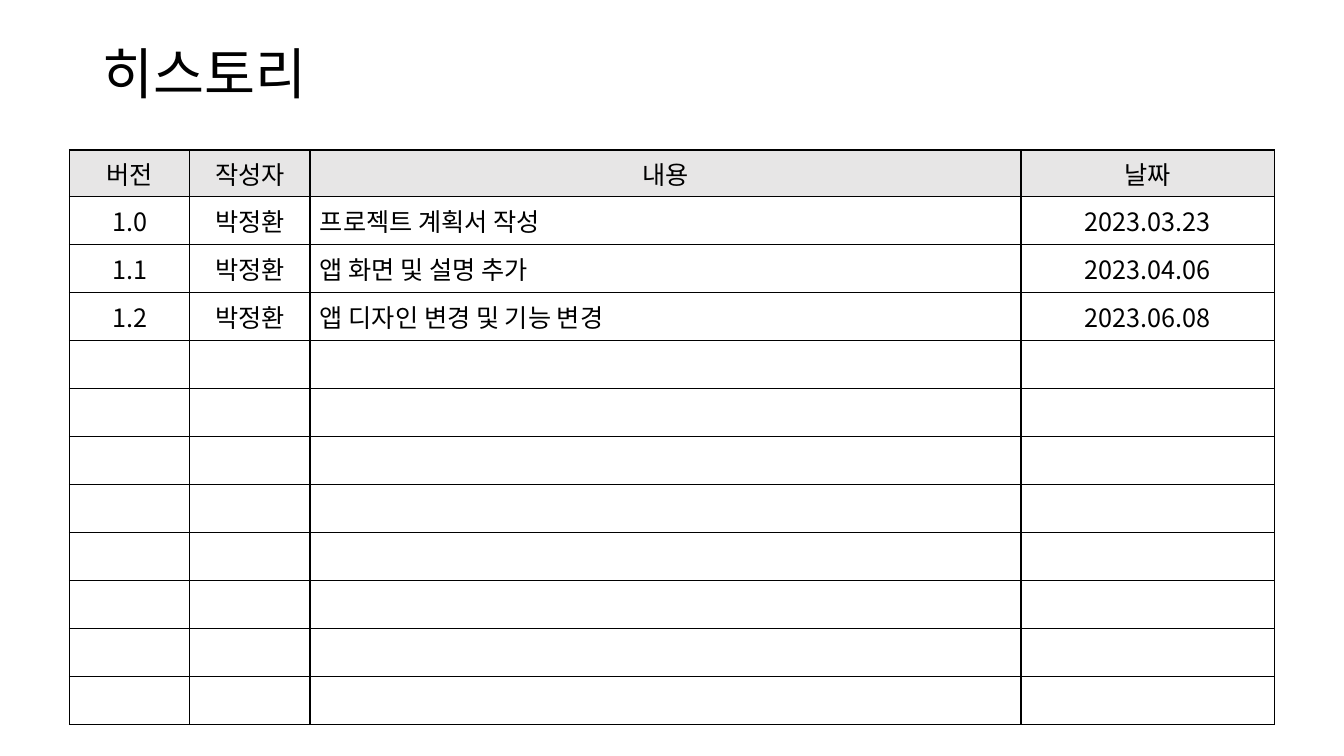
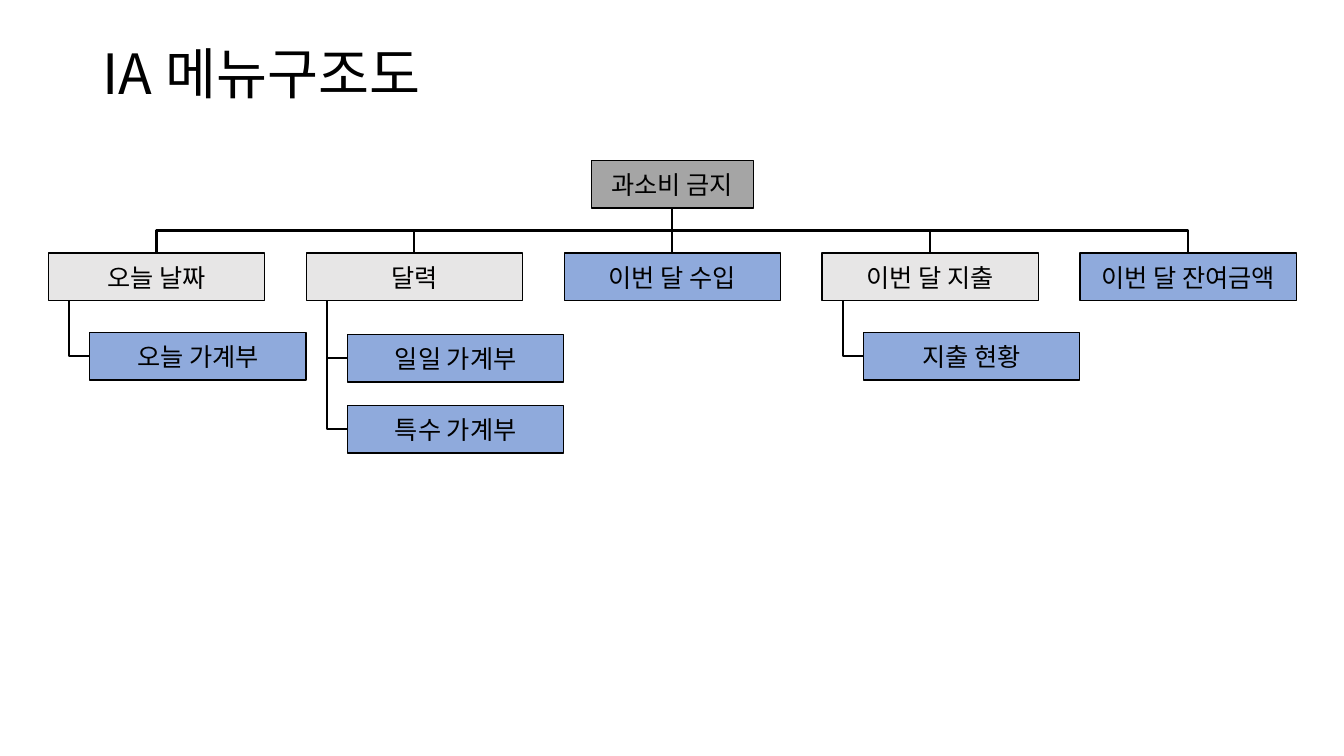
from pptx import Presentation
from pptx.dml.color import RGBColor as RGB
from pptx.enum.shapes import MSO_CONNECTOR as Link, MSO_SHAPE as Form
from pptx.enum.text import MSO_ANCHOR as Anchor, PP_ALIGN as Align
from pptx.oxml.ns import qn
from pptx.util import Cm, Pt
from lxml.etree import SubElement as Sub

FONT = "Noto Sans CJK KR"
HUES = {"ink": "000000", "paper": "FFFFFF", "pale": "E7E6E6",
        "grey": "A5A5A5", "blue": "8FAADC"}

HEAD = ["버전", "작성자", "내용", "날짜"]
LOG = [
    ["1.0", "박정환", "프로젝트 계획서 작성", "2023.03.23"],
    ["1.1", "박정환", "앱 화면 및 설명 추가", "2023.04.06"],
    ["1.2", "박정환", "앱 디자인 변경 및 기능 변경", "2023.06.08"],
]
SPARE = 8
COLS = [3.03, 3.03, 17.92, 6.38]

# Each branch: label, fill, top of its first child, children
MENU = [
    ("오늘 날짜", "pale", 8.38, ["오늘 가계부"]),
    ("달력", "pale", 8.43, ["일일 가계부", "특수 가계부"]),
    ("이번 달 수입", "blue", 0, []),
    ("이번 달 지출", "pale", 8.38, ["지출 현황"]),
    ("이번 달 잔여금액", "blue", 0, []),
]
BOX_W, BOX_H = 5.45, 1.2
LEFT, STEP = 1.22, 6.5
ROOT_W, ROOT_Y = 4.09, 4.04
BUS_Y, MENU_Y = 5.81, 6.38
INDENT, DROP, ARM = 1.04, 1.79, 0.52


def tint(name):
    """Return a named colour."""
    return RGB.from_string(HUES[name])


def write(frame, text, size=18, align=Align.CENTER, space=None):
    """Put one formatted paragraph into a text frame."""
    frame.word_wrap = True
    frame.vertical_anchor = Anchor.MIDDLE
    para = frame.paragraphs[0]
    para.alignment = align
    para.line_spacing = space
    run = para.add_run()
    run.text = text
    font = run.font
    font.name, font.size = FONT, Pt(size)
    font.color.rgb = tint("ink")
    Sub(font._element, qn("a:ea"), typeface=FONT)


def add_page(deck, title):
    """Add a blank slide with the shared title."""
    page = deck.slides.add_slide(deck.slide_layouts[6])
    box = page.shapes.add_textbox(Cm(2.34), Cm(1.02), Cm(10.85), Cm(1.8))
    write(box.text_frame, title, size=39.6, align=Align.LEFT, space=0.9)
    return page


def rule_cell(cell):
    """Draw a thin line on every side of a cell."""
    props = cell._tc.get_or_add_tcPr()
    for side in ("lnL", "lnR", "lnT", "lnB"):
        edge = Sub(props, qn(f"a:{side}"), w=str(Pt(1)))
        fill = Sub(edge, qn("a:solidFill"))
        Sub(fill, qn("a:srgbClr"), val=HUES["ink"])


def add_log(page, rows):
    """Add the version table, header row first."""
    grid = page.shapes.add_table(len(rows), len(COLS), Cm(1.75), Cm(3.78),
                                 Cm(sum(COLS)), Cm(14.48)).table
    for col, width in zip(grid.columns, COLS):
        col.width = Cm(width)
    for y, row in enumerate(rows):
        grid.rows[y].height = Cm(1.21 if y else 1.17)
        for x, text in enumerate(row):
            cell = grid.cell(y, x)
            rule_cell(cell)
            cell.fill.solid()
            cell.fill.fore_color.rgb = tint("paper" if y else "pale")
            cell.vertical_anchor = Anchor.MIDDLE
            if text:
                note = y > 0 and HEAD[x] == "내용"
                write(cell.text_frame, text,
                      align=Align.LEFT if note else Align.CENTER)


def add_box(page, text, x, y, hue, width=BOX_W):
    """Add a labelled menu box."""
    box = page.shapes.add_shape(Form.RECTANGLE, Cm(x), Cm(y),
                                Cm(width), Cm(BOX_H))
    box.shadow.inherit = False
    box.fill.solid()
    box.fill.fore_color.rgb = tint(hue)
    box.line.color.rgb = tint("ink")
    box.line.width = Pt(1)
    write(box.text_frame, text)


def add_link(page, start, end):
    """Join two points, going across first and then up or down."""
    bent = start[0] != end[0]
    line = page.shapes.add_connector(Link.ELBOW if bent else Link.STRAIGHT,
                                     *map(Cm, start + end))
    line.line.color.rgb = tint("ink")
    line.line.width = Pt(1.5)
    props = line._element.spPr
    if bent:
        props.find(qn("a:prstGeom")).set("prst", "bentConnector2")
    Sub(props, qn("a:effectLst"))


def add_branch(page, x, text, hue, top, kids):
    """Add a menu box with its children hanging below."""
    add_box(page, text, x, MENU_Y, hue)
    kid_x = x + INDENT
    for i, kid in enumerate(kids):
        y = top + i * DROP
        add_box(page, kid, kid_x, y, "blue")
        add_link(page, (kid_x, y + BOX_H / 2),
                 (kid_x - ARM, MENU_Y + BOX_H))


def add_tree(page):
    """Add the root, the bus and all branches."""
    mid = LEFT + STEP * (len(MENU) // 2) + BOX_W / 2
    add_box(page, "과소비 금지", mid - ROOT_W / 2, ROOT_Y, "grey", ROOT_W)
    for i, branch in enumerate(MENU):
        x = LEFT + i * STEP
        add_branch(page, x, *branch)
        if i == len(MENU) // 2:
            add_link(page, (mid, ROOT_Y + BOX_H), (mid, MENU_Y))
        else:
            add_link(page, (mid, BUS_Y), (x + BOX_W / 2, MENU_Y))


def main():
    """Build and save the deck."""
    deck = Presentation()
    deck.slide_width, deck.slide_height = Cm(33.87), Cm(19.05)
    blank = [[""] * len(HEAD)] * SPARE
    add_log(add_page(deck, "히스토리"), [HEAD] + LOG + blank)
    add_tree(add_page(deck, "IA 메뉴구조도"))
    deck.save("out.pptx")


main()
